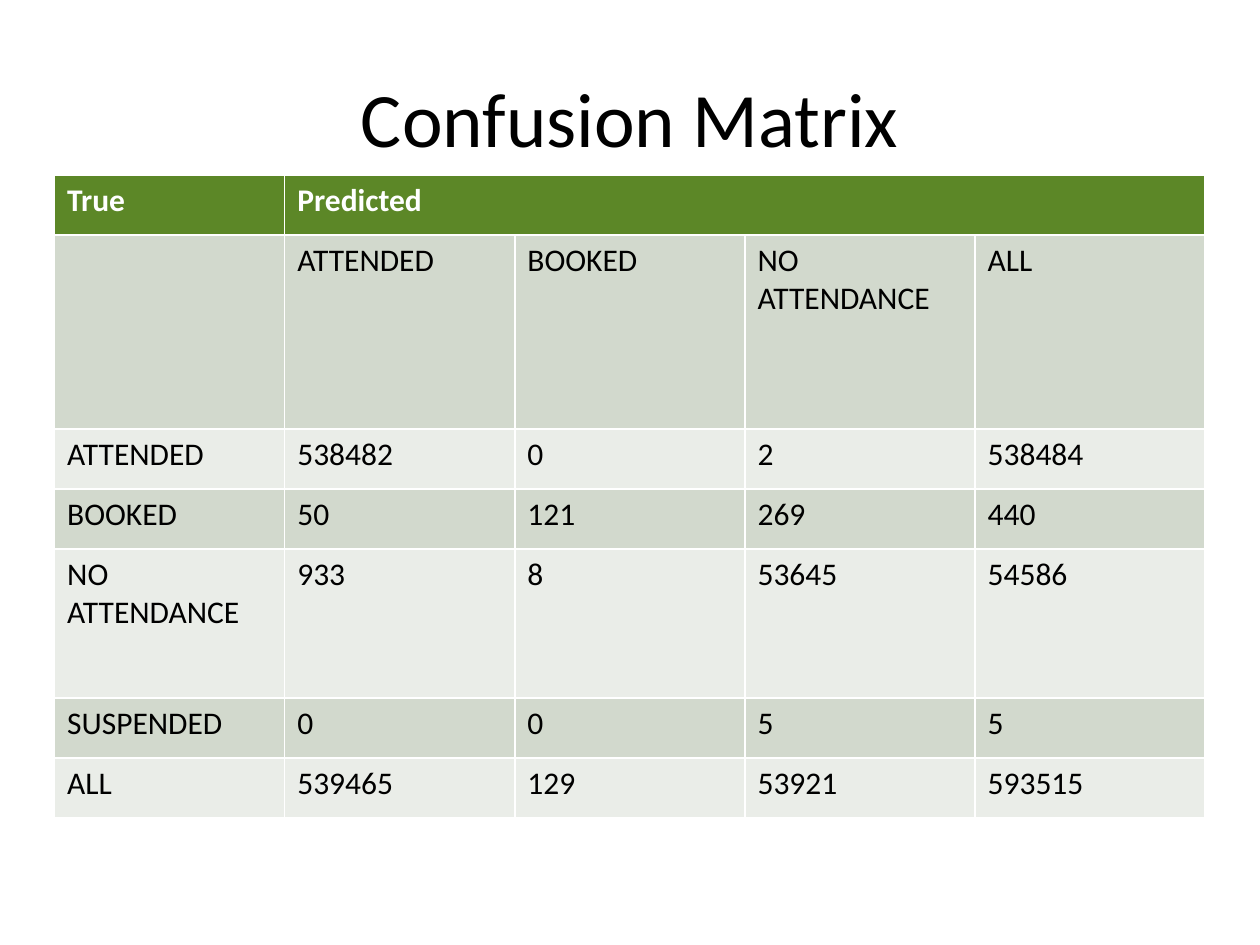
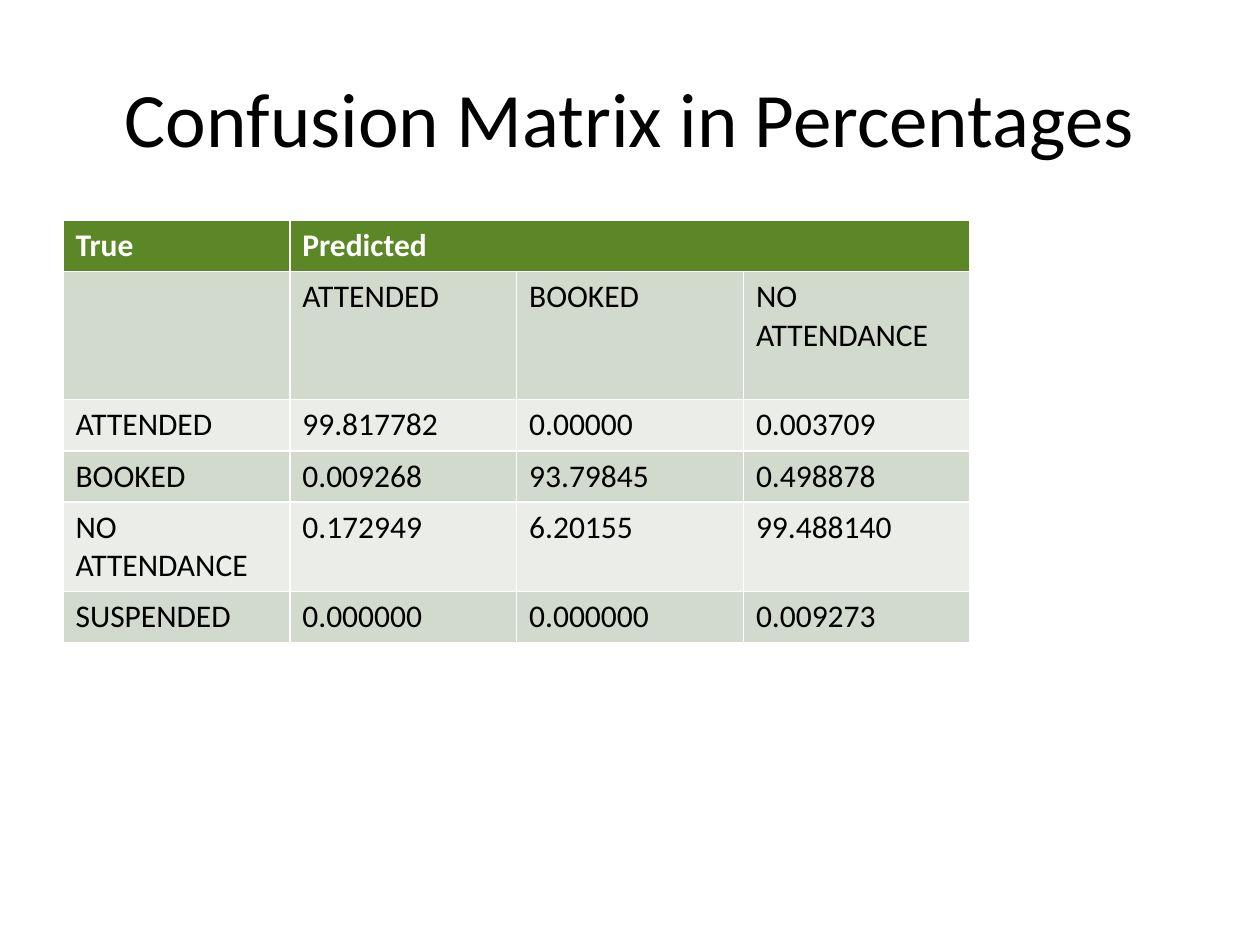
from pptx import Presentation
from pptx.dml.color import RGBColor as RGB
from pptx.enum.text import MSO_ANCHOR, PP_ALIGN
from pptx.util import Pt

GREEN = RGB(0x5C, 0x87, 0x27)
DARK_BAND = RGB(0xD2, 0xD9, 0xCD)
LIGHT_BAND = RGB(0xEA, 0xED, 0xE8)
WHITE = RGB(0xFF, 0xFF, 0xFF)
BLACK = RGB(0, 0, 0)
FONT = "Calibri"


def style(p, size, color, bold=False):
    for r in p.runs:
        r.font.name = FONT
        r.font.size = Pt(size)
        r.font.bold = bold
        r.font.color.rgb = color


counts = [
    ["", "ATTENDED", "BOOKED", "NO ATTENDANCE", "ALL"],
    ["ATTENDED", "538482", "0", "2", "538484"],
    ["BOOKED", "50", "121", "269", "440"],
    ["NO ATTENDANCE", "933", "8", "53645", "54586"],
    ["SUSPENDED", "0", "0", "5", "5"],
    ["ALL", "539465", "129", "53921", "593515"],
]
percentages = [
    ["", "ATTENDED", "BOOKED", "NO ATTENDANCE"],
    ["ATTENDED", "99.817782", "0.00000", "0.003709"],
    ["BOOKED", "0.009268", "93.79845", "0.498878"],
    ["NO ATTENDANCE", "0.172949", "6.20155", "99.488140"],
    ["SUSPENDED", "0.000000", "0.000000", "0.009273"],
]
slides = [
    ("Confusion Matrix", counts, 31.2, 100, 131.5,
     [34.3, 110.8, 34.3, 34.3, 85.2, 34.3, 34.3]),
    ("Confusion Matrix in Percentages", percentages, 36, 126, 129.6,
     [29.2, 73.2, 29.2, 29.2, 50.8, 29.2]),
]

prs = Presentation()
prs.slide_width, prs.slide_height = Pt(720), Pt(540)

for title, rows, left, top, col_width, heights in slides:
    s = prs.slides.add_slide(prs.slide_layouts[5])
    sp = s.shapes.title
    sp.left, sp.top, sp.width, sp.height = Pt(36), Pt(21.6), Pt(648), Pt(90)
    tf = sp.text_frame
    tf.text = title
    tf.vertical_anchor = MSO_ANCHOR.MIDDLE
    p = tf.paragraphs[0]
    p.alignment = PP_ALIGN.CENTER
    style(p, 44, BLACK)

    n_cols = len(rows[0])
    header = ["True", "Predicted"] + [""] * (n_cols - 2)
    table = s.shapes.add_table(
        len(heights), n_cols, Pt(left), Pt(top),
        Pt(col_width * n_cols), Pt(sum(heights))).table
    for col in table.columns:
        col.width = Pt(col_width)
    for i, (values, height) in enumerate(zip([header] + rows, heights)):
        table.rows[i].height = Pt(height)
        band = GREEN if i == 0 else DARK_BAND if i % 2 else LIGHT_BAND
        for j, value in enumerate(values):
            cell = table.cell(i, j)
            cell.fill.solid()
            cell.fill.fore_color.rgb = band
            if value:
                cell.text_frame.text = value
                style(cell.text_frame.paragraphs[0], 18,
                      WHITE if i == 0 else BLACK, bold=i == 0)
    table.cell(0, 1).merge(table.cell(0, n_cols - 1))

prs.save("out.pptx")
